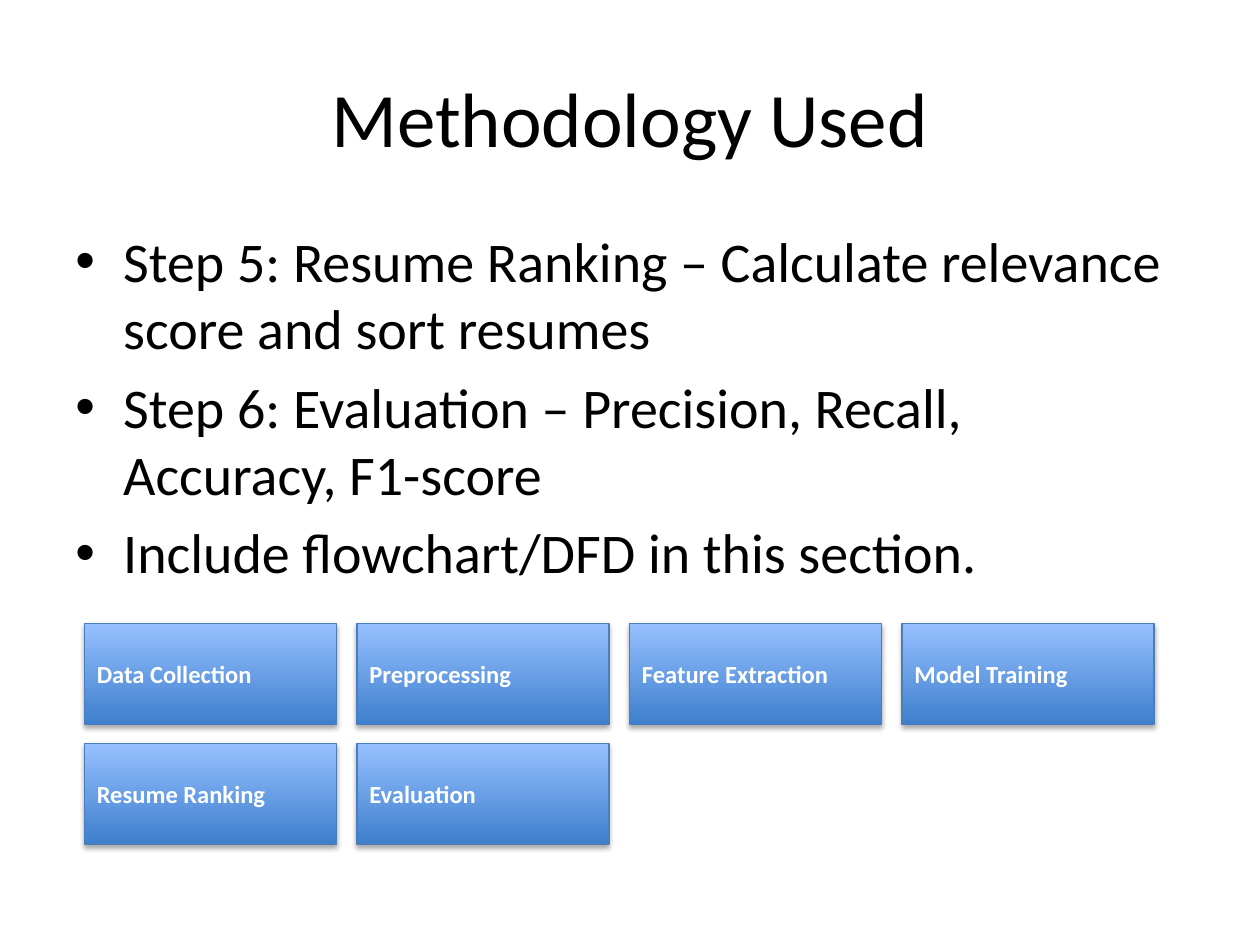
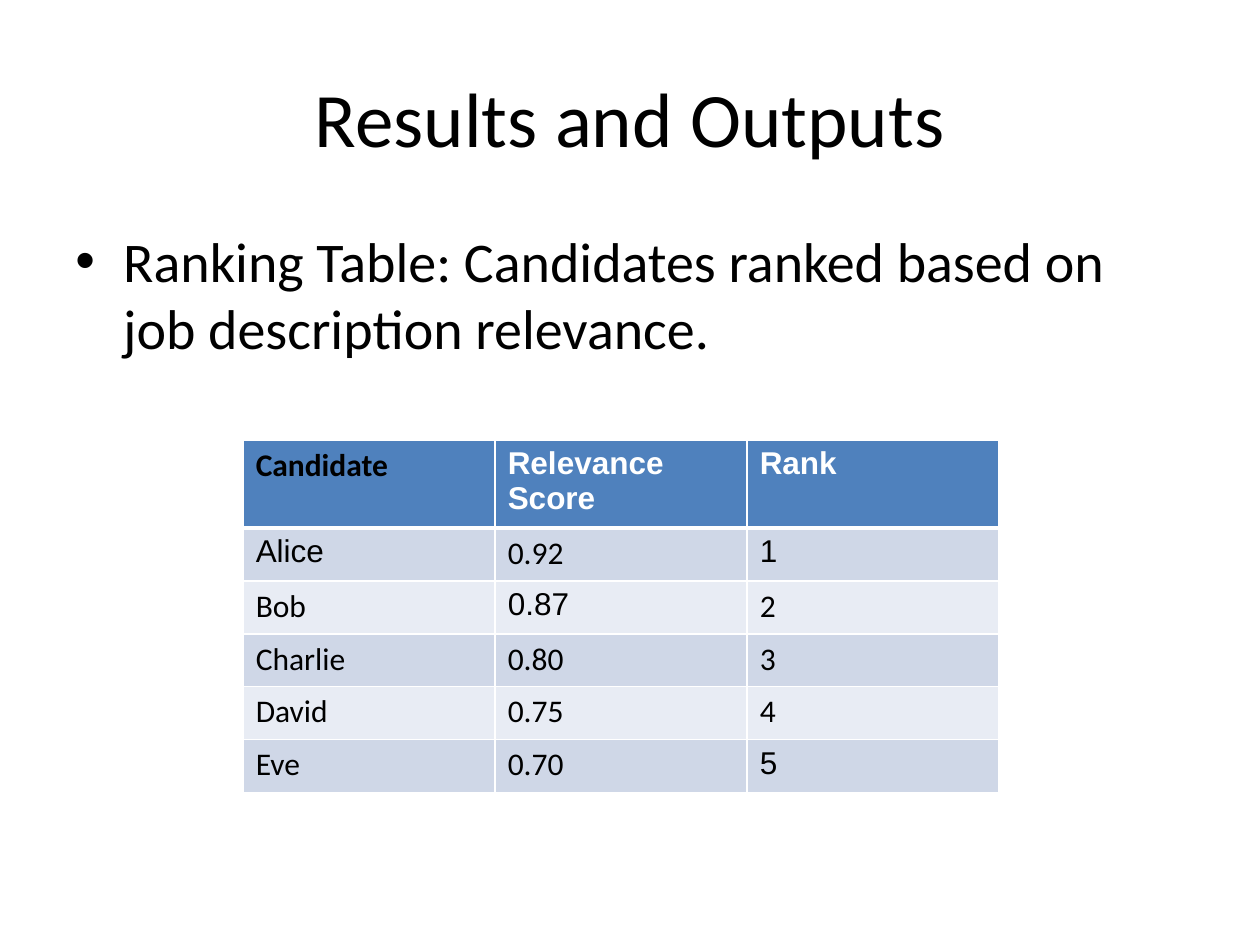
from typing import NamedTuple

from lxml import etree
from pptx import Presentation
from pptx.dml.color import RGBColor
from pptx.enum.shapes import MSO_SHAPE
from pptx.enum.text import MSO_ANCHOR, PP_ALIGN
from pptx.oxml.ns import qn
from pptx.util import Inches, Pt

RECTANGLE = MSO_SHAPE.RECTANGLE
TOP, MIDDLE = MSO_ANCHOR.TOP, MSO_ANCHOR.MIDDLE
LEFT, CENTER = PP_ALIGN.LEFT, PP_ALIGN.CENTER
TITLE_ONLY = 5

BODY_FONT, TABLE_FONT = "Calibri", "Arial"
BLACK, WHITE = "000000", "FFFFFF"
BOX_BOTTOM, BOX_TOP, BOX_LINE = "3E7FCD", "96C0FF", "4A7DBA"
HEADER_FILL = "4F81BD"
BAND_FILLS = ("CFD7E7", "E8ECF4")


class Area(NamedTuple):
    left: float
    top: float
    width: float
    height: float

    def lengths(self) -> list:
        return [Inches(value) for value in self]


class Style(NamedTuple):
    size: float
    color: str = BLACK
    bold: bool = False
    font: str = BODY_FONT


class Entry(NamedTuple):
    """Table text with its font."""
    text: str
    font: str = BODY_FONT


TITLE_AREA = Area(0.5, 0.3, 9, 1.25)
BODY_AREA = Area(0.5, 1.75, 9, 4.95)
TITLE_STYLE = Style(44)
BODY_STYLE = Style(32)
BOX_STYLE = Style(14, WHITE, True)
BULLET_INDENT = 0.38

METHOD_BULLETS = (
    "Step 5: Resume Ranking – Calculate relevance score and sort resumes",
    "Step 6: Evaluation – Precision, Recall, Accuracy, F1-score",
    "Include flowchart/DFD in this section.",
)
METHOD_STEPS = (
    "Data Collection", "Preprocessing", "Feature Extraction",
    "Model Training", "Resume Ranking", "Evaluation",
)
STEP_COLUMNS = 4
STEP_LEFT, STEP_RIGHT, STEP_TOP = 0.67, 9.16, 4.95
STEP_WIDTH, STEP_HEIGHT, STEP_ROW_PITCH = 2, 0.8, 0.95

RESULT_BULLETS = (
    "Ranking Table: Candidates ranked based on job description relevance.",
)
RANKING = (
    (Entry("Candidate"), Entry("Relevance Score", TABLE_FONT), Entry("Rank", TABLE_FONT)),
    (Entry("Alice", TABLE_FONT), Entry("0.92"), Entry("1", TABLE_FONT)),
    (Entry("Bob"), Entry("0.87", TABLE_FONT), Entry("2")),
    (Entry("Charlie"), Entry("0.80"), Entry("3")),
    (Entry("David"), Entry("0.75"), Entry("4")),
    (Entry("Eve"), Entry("0.70"), Entry("5", TABLE_FONT)),
)
TABLE_LEFT, TABLE_TOP, COLUMN_WIDTH, ROW_HEIGHT = 1.93, 3.49, 2, 0.42
TABLE_TEXT_SIZE = 18
BORDER_WIDTH, HEADER_RULE_WIDTH = 1, 3


def rgb(color: str) -> RGBColor:
    return RGBColor.from_string(color)


def add_run(paragraph, text: str, style: Style) -> None:
    run = paragraph.add_run()
    run.text = text
    run.font.size = Pt(style.size)
    run.font.name = style.font
    run.font.bold = style.bold
    run.font.color.rgb = rgb(style.color)


def add_color(parent, color: str):
    return etree.SubElement(parent, qn("a:srgbClr"), val=color)


def add_titled_slide(presentation, title: str):
    slide = presentation.slides.add_slide(presentation.slide_layouts[TITLE_ONLY])
    shape = slide.shapes.title
    shape.left, shape.top, shape.width, shape.height = TITLE_AREA.lengths()
    shape.text_frame.vertical_anchor = MIDDLE
    paragraph = shape.text_frame.paragraphs[0]
    paragraph.alignment = CENTER
    add_run(paragraph, title, TITLE_STYLE)
    return slide


def add_bullets(slide, bullets: tuple[str, ...]) -> None:
    frame = slide.shapes.add_textbox(*BODY_AREA.lengths()).text_frame
    frame.word_wrap = True
    frame.vertical_anchor = TOP
    for index, text in enumerate(bullets):
        paragraph = frame.add_paragraph() if index else frame.paragraphs[0]
        paragraph.space_before = Pt(6.4 if index else 0)
        properties = paragraph._p.get_or_add_pPr()
        properties.set("marL", str(Inches(BULLET_INDENT)))
        properties.set("indent", str(-Inches(BULLET_INDENT)))
        add_color(etree.SubElement(properties, qn("a:buClr")), BLACK)
        etree.SubElement(properties, qn("a:buFont"), typeface=TABLE_FONT)
        etree.SubElement(properties, qn("a:buChar"), char="•")
        add_run(paragraph, text, BODY_STYLE)


def add_soft_shadow(shape) -> None:
    shape.shadow.inherit = False
    effects = shape._element.spPr.find(qn("a:effectLst"))
    shadow = etree.SubElement(
        effects, qn("a:outerShdw"), blurRad=str(Pt(3.1)), dist=str(Pt(1.8)),
        dir="5400000", rotWithShape="0")
    etree.SubElement(add_color(shadow, BLACK), qn("a:alpha"), val="35000")


def add_step_box(slide, area: Area, label: str) -> None:
    box = slide.shapes.add_shape(RECTANGLE, *area.lengths())
    box.fill.gradient()
    box.fill.gradient_angle = 90
    for stop, position, color in zip(
            box.fill.gradient_stops, (0, 1), (BOX_BOTTOM, BOX_TOP)):
        stop.position = position
        stop.color.rgb = rgb(color)
    box.line.color.rgb = rgb(BOX_LINE)
    box.line.width = Pt(0.75)
    add_soft_shadow(box)
    box.text_frame.word_wrap = True
    box.text_frame.vertical_anchor = MIDDLE
    paragraph = box.text_frame.paragraphs[0]
    paragraph.alignment = LEFT
    add_run(paragraph, label, BOX_STYLE)


def add_step_grid(slide) -> None:
    pitch = (STEP_RIGHT - STEP_LEFT - STEP_WIDTH) / (STEP_COLUMNS - 1)
    for index, label in enumerate(METHOD_STEPS):
        row, column = divmod(index, STEP_COLUMNS)
        area = Area(STEP_LEFT + column * pitch, STEP_TOP + row * STEP_ROW_PITCH,
                    STEP_WIDTH, STEP_HEIGHT)
        add_step_box(slide, area, label)


def set_borders(cell, row: int) -> None:
    """White borders, heavier between the header and the first data row."""
    properties = cell._tc.get_or_add_tcPr()
    heavy_edge = {0: "lnB", 1: "lnT"}.get(row)
    for edge in ("lnL", "lnR", "lnT", "lnB"):
        width = HEADER_RULE_WIDTH if edge == heavy_edge else BORDER_WIDTH
        line = etree.SubElement(properties, qn(f"a:{edge}"), w=str(Pt(width)))
        add_color(etree.SubElement(line, qn("a:solidFill")), WHITE)


def add_ranking_table(slide) -> None:
    row_count, column_count = len(RANKING), len(RANKING[0])
    area = Area(TABLE_LEFT, TABLE_TOP, COLUMN_WIDTH * column_count, ROW_HEIGHT * row_count)
    table = slide.shapes.add_table(row_count, column_count, *area.lengths()).table
    for row, entries in enumerate(RANKING):
        for column, entry in enumerate(entries):
            cell = table.cell(row, column)
            set_borders(cell, row)
            cell.fill.solid()
            fill = BAND_FILLS[(row - 1) % 2] if row else HEADER_FILL
            cell.fill.fore_color.rgb = rgb(fill)
            white_text = row == 0 and column > 0
            style = Style(TABLE_TEXT_SIZE, WHITE if white_text else BLACK,
                          row == 0, entry.font)
            add_run(cell.text_frame.paragraphs[0], entry.text, style)


def main() -> None:
    presentation = Presentation()
    presentation.slide_width, presentation.slide_height = Inches(10), Inches(7.5)

    methodology = add_titled_slide(presentation, "Methodology Used")
    add_bullets(methodology, METHOD_BULLETS)
    add_step_grid(methodology)

    results = add_titled_slide(presentation, "Results and Outputs")
    add_bullets(results, RESULT_BULLETS)
    add_ranking_table(results)

    presentation.save("out.pptx")


if __name__ == "__main__":
    main()
